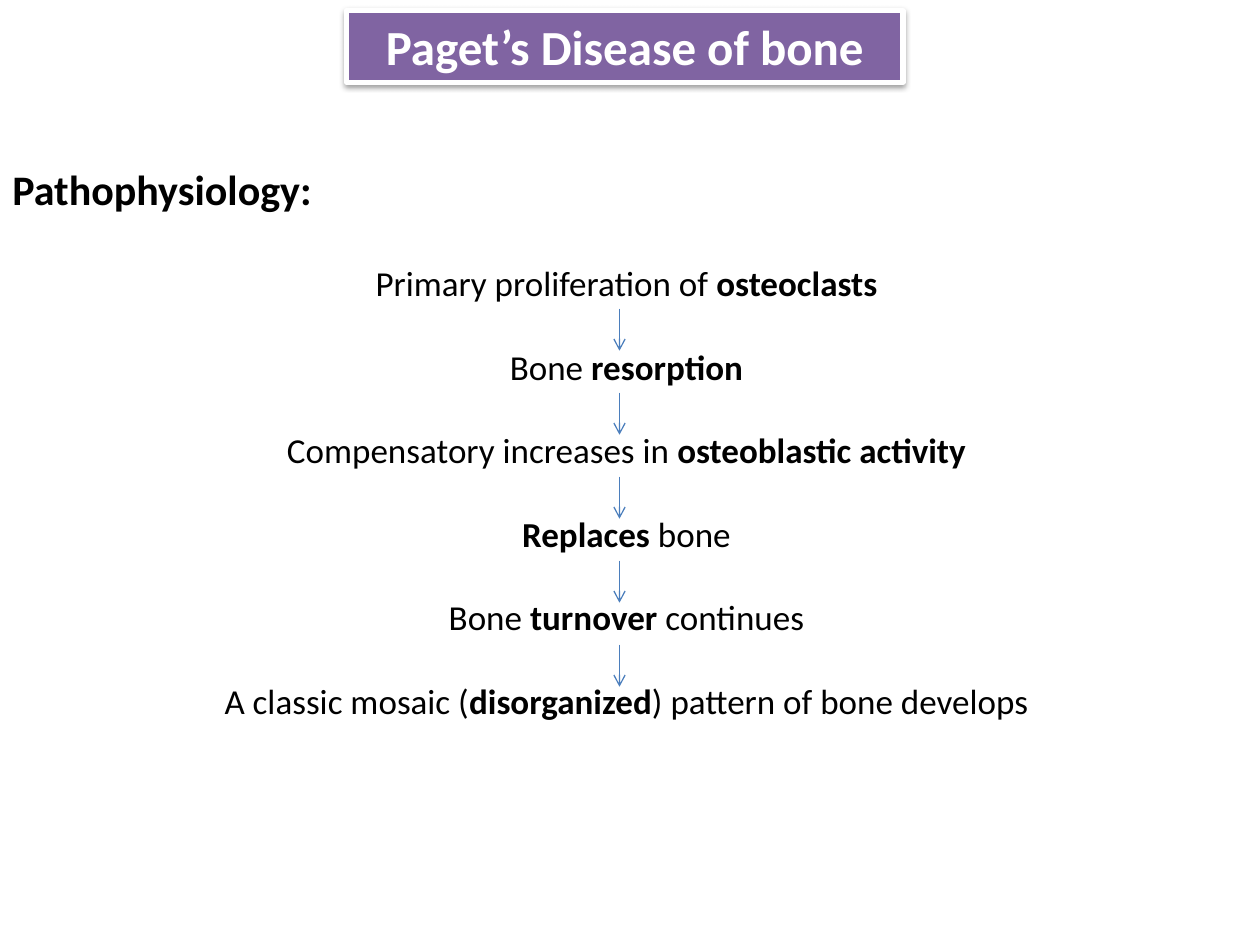
from dataclasses import dataclass

from lxml import etree
from pptx import Presentation
from pptx.dml.color import RGBColor
from pptx.enum.shapes import MSO_CONNECTOR
from pptx.enum.text import MSO_ANCHOR, MSO_AUTO_SIZE, PP_ALIGN
from pptx.oxml import parse_xml
from pptx.oxml.ns import nsdecls, qn
from pptx.util import Pt

STRAIGHT = MSO_CONNECTOR.STRAIGHT
MIDDLE = MSO_ANCHOR.MIDDLE
NO_FIT = MSO_AUTO_SIZE.NONE
GROW = MSO_AUTO_SIZE.SHAPE_TO_FIT_TEXT
LEFT, CENTER = PP_ALIGN.LEFT, PP_ALIGN.CENTER

TITLE_ONLY = 5
ARROW_X, ARROW_TOP, ARROW_LENGTH, STEP_PITCH = 354, 176.4, 24, 48

STEPS = [
    "Primary proliferation of *osteoclasts*",
    "Bone *resorption*",
    "Compensatory increases in *osteoblastic activity*",
    "*Replaces* bone",
    "Bone *turnover* continues",
    "A classic mosaic (*disorganized*) pattern of bone develops",
]

SHADOW = f"""<a:effectLst {nsdecls("a")}>
  <a:outerShdw blurRad="{Pt(3.1)}" dist="{Pt(1.6)}" dir="5400000" rotWithShape="0">
    <a:srgbClr val="000000"><a:alpha val="38000"/></a:srgbClr>
  </a:outerShdw>
</a:effectLst>"""


@dataclass(frozen=True)
class Theme:
    font: str = "Calibri"
    ink: RGBColor = RGBColor(0x00, 0x00, 0x00)
    paper: RGBColor = RGBColor(0xFF, 0xFF, 0xFF)
    banner: RGBColor = RGBColor(0x80, 0x64, 0xA2)
    arrow: RGBColor = RGBColor(0x4B, 0x7E, 0xBC)
    title_size: float = 28
    heading_size: float = 24
    step_size: float = 20


def apply_format(target, values):
    for name, value in values.items():
        setattr(target, name, value)


class SlideBuilder:
    def __init__(self, slide, theme):
        self.slide = slide
        self.theme = theme

    def add_runs(self, paragraph, marked_text, size, color, alignment):
        paragraph.alignment = alignment
        for index, text in enumerate(marked_text.split("*")):
            if text:
                run = paragraph.add_run()
                run.text = text
                apply_format(run.font, {
                    "name": self.theme.font,
                    "size": Pt(size),
                    "bold": index % 2 == 1,
                })
                run.font.color.rgb = color

    def title(self, text, left, top, width, height):
        shape = self.slide.shapes.title
        apply_format(shape, {
            "left": Pt(left), "top": Pt(top),
            "width": Pt(width), "height": Pt(height),
        })
        shape.fill.solid()
        shape.fill.fore_color.rgb = self.theme.banner
        shape.line.color.rgb = self.theme.paper
        shape.line.width = Pt(3)
        shape._element.spPr.append(parse_xml(SHADOW))
        apply_format(shape.text_frame, {
            "word_wrap": True, "auto_size": NO_FIT, "vertical_anchor": MIDDLE,
        })
        self.add_runs(shape.text_frame.paragraphs[0], f"*{text}*",
                      self.theme.title_size, self.theme.paper, CENTER)

    def text(self, lines, left, top, width, height, size, alignment, gap=0):
        shape = self.slide.shapes.add_textbox(
            Pt(left), Pt(top), Pt(width), Pt(height))
        frame = shape.text_frame
        apply_format(frame, {"word_wrap": False, "auto_size": GROW})
        for index, line in enumerate(lines):
            paragraph = frame.add_paragraph() if index else frame.paragraphs[0]
            if index:
                paragraph.space_before = Pt(gap)
            self.add_runs(paragraph, line, size, self.theme.ink, alignment)

    def down_arrow(self, x, top, length):
        connector = self.slide.shapes.add_connector(
            STRAIGHT, Pt(x), Pt(top), Pt(x), Pt(top + length))
        connector.line.color.rgb = self.theme.arrow
        connector.line.width = Pt(0.75)
        properties = connector._element.spPr
        etree.SubElement(properties.find(qn("a:ln")), qn("a:tailEnd"), type="arrow")
        etree.SubElement(properties, qn("a:effectLst"))


def main():
    presentation = Presentation()
    presentation.slide_width, presentation.slide_height = Pt(720), Pt(540)
    slide = presentation.slides.add_slide(presentation.slide_layouts[TITLE_ONLY])
    theme = Theme()
    builder = SlideBuilder(slide, theme)

    builder.title("Paget’s Disease of bone", 198, 6, 318, 41)
    builder.text(["*Pathophysiology:*"], 0, 90, 194, 36, theme.heading_size, LEFT)
    builder.text(STEPS, 120, 146, 476, 274, theme.step_size, CENTER, gap=23.7)
    for index in range(len(STEPS) - 1):
        builder.down_arrow(ARROW_X, ARROW_TOP + index * STEP_PITCH, ARROW_LENGTH)

    presentation.save("out.pptx")


if __name__ == "__main__":
    main()
